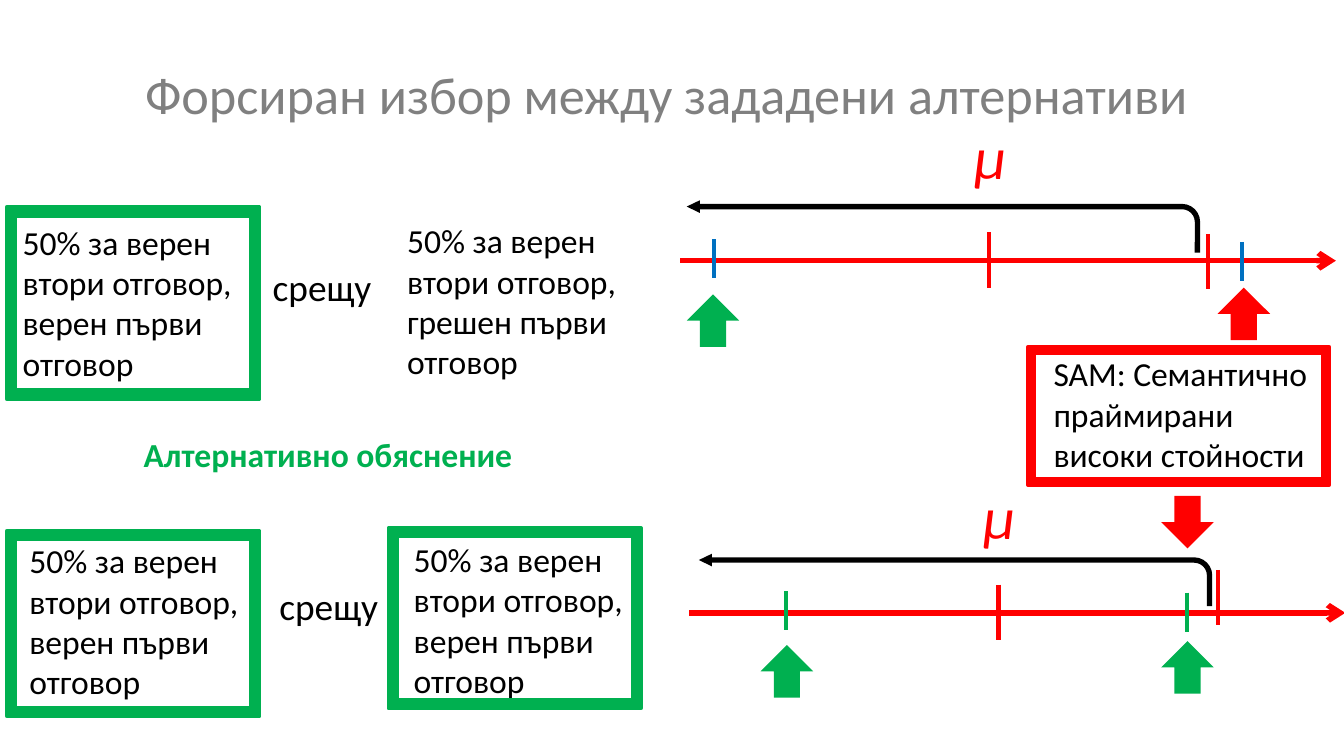
import lxml.etree
import pptx
import pptx.dml.color
import pptx.enum.shapes
import pptx.enum.text
import pptx.oxml.ns
import pptx.util

Inches = pptx.util.Inches
Pt = pptx.util.Pt
qn = pptx.oxml.ns.qn
KIND = pptx.enum.shapes.MSO_SHAPE
ALIGN = pptx.enum.text.PP_ALIGN
ANCHOR = pptx.enum.text.MSO_ANCHOR

THEME = {
    "font": "Calibri",
    "black": "000000", "gray": "808080", "red": "FF0000",
    "green": "00B050", "blue": "0070C0",
    "title": 28, "mu": 32, "versus": 20, "body": 18,
    "axis": 3, "tick": 2.25, "frame": 2,
}

# Content: text, then left, top, width, height
TITLE = ("Форсиран избор между зададени алтернативи ", 0.5, 0.23, 9, 0.94)
NOTE = ("Алтернативно обяснение", 0.97, 3.18, 3.04, 0.4)
RIGHT = "50% за верен втори отговор, верен първи отговор"
WRONG = "50% за верен втори отговор, грешен първи отговор"
CHOICES = [
    (RIGHT, 0.07, 1.6, 1.9, 1.31),
    (WRONG, 2.93, 1.59, 1.81, 1.31),
    (RIGHT, 0.12, 3.97, 2.05, 1.31),
    (RIGHT, 2.98, 3.96, 2.11, 1.31),
    ("SAM: Семантично праймирани високи стойности", 7.74, 2.58, 2.19, 1.01),
]
VERSUS = [("срещу", 1.93, 1.92, 1.02, 0.44), ("срещу", 1.98, 4.29, 1.02, 0.44)]
FRAMES = [
    ("green", 0.05, 1.54, 1.88, 1.43),
    ("green", 0.05, 3.95, 1.88, 1.38),
    ("green", 2.89, 3.93, 1.88, 1.34),
    ("red", 7.65, 2.58, 2.24, 1.03),
]
# Each scale: axis start, the mean's label, the bent arrow, red bounds, answer ticks
SCALES = [
    {"left": 5.06, "top": 1.94, "mu": (7.15, 0.84), "bent": (5.11, 1.49),
     "bounds": [(7.36, 1.73), (8.99, 1.74)],
     "color": "blue", "ticks": [(5.31, 1.78), (9.24, 1.8)]},
    {"left": 5.13, "top": 4.56, "mu": (7.22, 3.52), "bent": (5.2, 4.12),
     "bounds": [(7.43, 4.35), (9.06, 4.24)],
     "color": "green", "ticks": [(5.85, 4.4), (8.83, 4.41)]},
]
AXIS = 4.88
LONG, SHORT = 0.41, 0.29
# Block arrows: colour, left, top, turn
ARROWS = [
    ("green", 5.11, 2.19, 0), ("red", 9.06, 2.14, 0), ("red", 8.64, 3.69, 180),
    ("green", 5.66, 4.8, 0), ("green", 8.64, 4.77, 0),
]
SIDE = 0.39

deck = pptx.Presentation()
deck.slide_width = Inches(10)
deck.slide_height = deck.slide_width * 9 // 16
slide = deck.slides.add_slide(deck.slide_layouts[6])


def paint(name):
    return pptx.dml.color.RGBColor.from_string(THEME[name])


def write(text, left, top, width, height, size="body", color="black",
          bold=False, italic=False, align=ALIGN.LEFT, anchor=ANCHOR.TOP):
    box = slide.shapes.add_textbox(*map(Inches, (left, top, width, height)))
    frame = box.text_frame
    frame.word_wrap = True
    frame.vertical_anchor = anchor
    para = frame.paragraphs[0]
    para.alignment = align
    run = para.add_run()
    run.text = text
    font = run.font
    font.name, font.size = THEME["font"], Pt(THEME[size])
    font.bold, font.italic = bold, italic
    font.color.rgb = paint(color)


def draw(kind, color, left, top, width, height, adjust=(), edge=None):
    shape = slide.shapes.add_shape(kind, *map(Inches, (left, top, width, height)))
    shape.shadow.inherit = False
    shape.fill.solid()
    shape.fill.fore_color.rgb = paint(color)
    for index, value in enumerate(adjust):
        shape.adjustments[index] = value
    if edge:
        shape.line.color.rgb = paint(color)
        shape.line.width = Pt(THEME[edge])
    else:
        shape.line.fill.background()
    return shape


def rule(x1, y1, x2, y2, color, width="tick", arrow=False):
    line = slide.shapes.add_connector(
        pptx.enum.shapes.MSO_CONNECTOR.STRAIGHT, *map(Inches, (x1, y1, x2, y2)))
    line.line.color.rgb = paint(color)
    line.line.width = Pt(THEME[width])
    props = line._element.spPr
    if arrow:
        lxml.etree.SubElement(props.find(qn("a:ln")), qn("a:tailEnd"), type="arrow")
    lxml.etree.SubElement(props, qn("a:effectLst"))


def scale(left, top, mu, bent, bounds, color, ticks):
    rule(left, top, left + AXIS, top, "red", width="axis", arrow=True)
    for marks, tint, size in ((bounds, "red", LONG), (ticks, color, SHORT)):
        for x, y in marks:
            rule(x, y, x, y + size, tint)
    write("μ", *mu, 0.41, 0.64, size="mu", color="red", italic=True)
    back = draw(KIND.BENT_ARROW, "black", *bent, 3.82, SIDE,
                adjust=(0.103, 0.121, 0.25, 0.345))
    back._element.spPr.find(qn("a:xfrm")).set("flipH", "1")


# Choices
for item in CHOICES:
    write(*item)
for item in VERSUS:
    write(*item, size="versus")

# Scales
for item in SCALES:
    scale(**item)

# Frames around the choices
for color, *place in FRAMES:
    draw(KIND.FRAME, color, *place, adjust=(0.046,), edge="frame")

# Block arrows
for color, left, top, turn in ARROWS:
    draw(KIND.UP_ARROW, color, left, top, SIDE, SIDE).rotation = turn

# Title and note
write(*TITLE, size="title", color="gray", align=ALIGN.CENTER, anchor=ANCHOR.MIDDLE)
write(*NOTE, color="green", bold=True)

deck.save("out.pptx")
